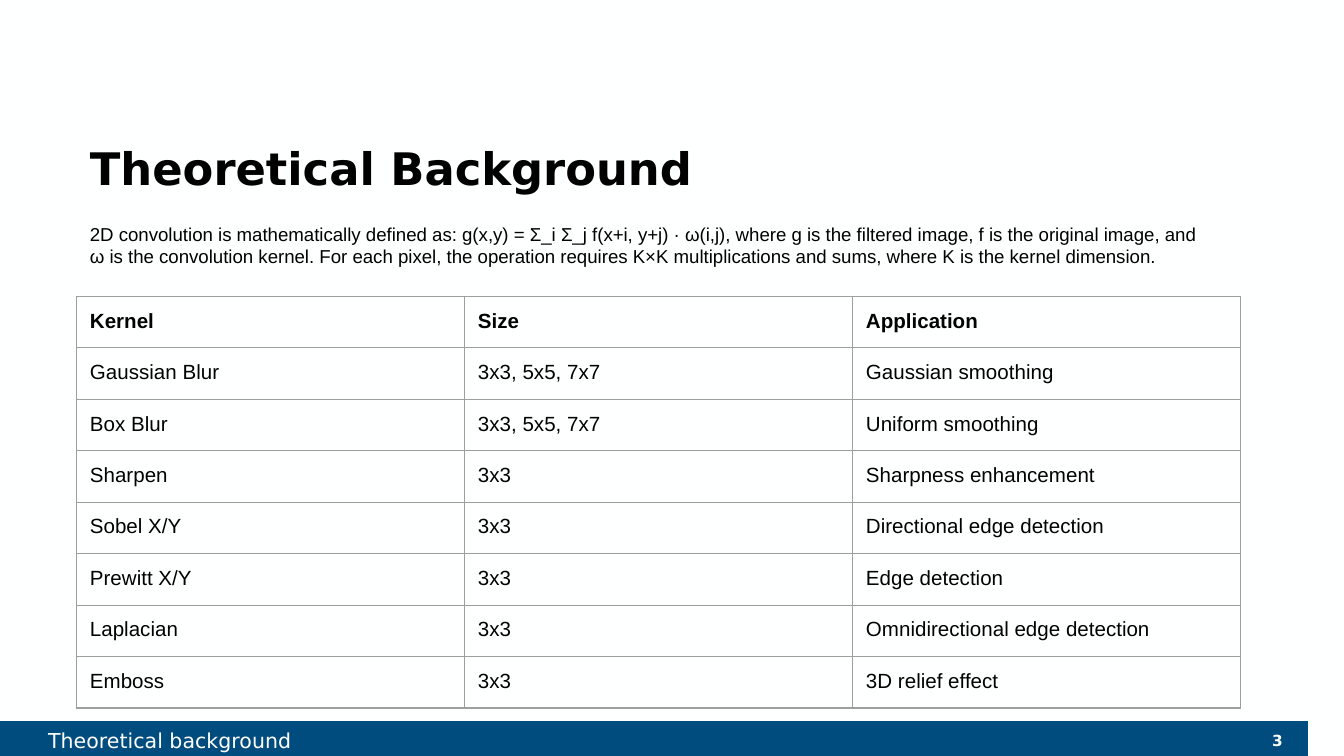
from lxml.etree import SubElement
from pptx import Presentation
from pptx.dml.color import RGBColor as Rgb
from pptx.enum.shapes import MSO_SHAPE as Shape
from pptx.enum.text import MSO_ANCHOR as Anchor, MSO_AUTO_SIZE as AutoSize, PP_ALIGN as Align
from pptx.oxml.ns import qn
from pptx.util import Cm, Pt

COLORS = {"page": "FEFFFF", "band": "004C7E", "white": "FFFFFF", "ink": "000000", "rule": "9E9E9E"}
DISPLAY, TEXT = "DejaVu Sans", "Arial"
FORMATS = {
    "title": {"name": DISPLAY, "size": Pt(24), "bold": True, "color": "ink"},
    "definition": {"name": TEXT, "size": Pt(10), "bold": False, "color": "ink"},
    "header": {"name": TEXT, "size": Pt(11), "bold": True, "color": "ink"},
    "cell": {"name": TEXT, "size": Pt(11), "bold": False, "color": "ink"},
    "section": {"name": DISPLAY, "size": Pt(11), "bold": False, "color": "white"},
    "number": {"name": DISPLAY, "size": Pt(8.2), "bold": True, "color": "page"},
}
DEFINITION = (
    "2D convolution is mathematically defined as: g(x,y) = Σ_i Σ_j f(x+i, y+j) · ω(i,j), "
    "where g is the filtered image, f is the original image, and ω is the convolution kernel. "
    "For each pixel, the operation requires K×K multiplications and sums, "
    "where K is the kernel dimension."
)
KERNELS = [
    ("Kernel", "Size", "Application"),
    ("Gaussian Blur", "3x3, 5x5, 7x7", "Gaussian smoothing"),
    ("Box Blur", "3x3, 5x5, 7x7", "Uniform smoothing"),
    ("Sharpen", "3x3", "Sharpness enhancement"),
    ("Sobel X/Y", "3x3", "Directional edge detection"),
    ("Prewitt X/Y", "3x3", "Edge detection"),
    ("Laplacian", "3x3", "Omnidirectional edge detection"),
    ("Emboss", "3x3", "3D relief effect"),
]


class SlideBuilder:
    """Holds the style and the current slide, and adds its elements."""

    def __init__(self, slide):
        self.slide = slide
        self.paint(slide.background.fill, "page")

    def paint(self, fill, color):
        fill.solid()
        fill.fore_color.rgb = Rgb.from_string(COLORS[color])

    def style(self, font, style):
        for attribute, value in FORMATS[style].items():
            if attribute == "color":
                font.color.rgb = Rgb.from_string(COLORS[value])
            else:
                setattr(font, attribute, value)

    def fill_frame(self, frame, text, style, align=Align.LEFT, spacing=1.0, inset=0.13):
        frame.word_wrap = True
        margins = {"margin_left": 0.25, "margin_right": 0.25, "margin_top": inset, "margin_bottom": inset}
        for side, length in margins.items():
            setattr(frame, side, Cm(length))
        paragraph = frame.paragraphs[0]
        paragraph.alignment, paragraph.line_spacing = align, spacing
        run = paragraph.add_run()
        run.text = text
        self.style(run.font, style)

    def title(self, text, left, top, width, height):
        heading = self.slide.shapes.title
        heading.left, heading.top, heading.width, heading.height = map(Cm, (left, top, width, height))
        heading.text_frame.auto_size = AutoSize.NONE
        heading.text_frame.vertical_anchor = Anchor.MIDDLE
        self.fill_frame(heading.text_frame, text, "title", spacing=1.2)

    def text(self, text, style, left, top, width, height, **layout):
        box = self.slide.shapes.add_textbox(*map(Cm, (left, top, width, height)))
        self.fill_frame(box.text_frame, text, style, **layout)

    def band(self, left, top, width, height):
        strip = self.slide.shapes.add_shape(Shape.RECTANGLE, *map(Cm, (left, top, width, height)))
        strip.shadow.inherit = False
        self.paint(strip.fill, "band")
        strip.line.fill.background()

    def border(self, cell):
        properties = cell._tc.get_or_add_tcPr()
        for position, edge in enumerate(("a:lnL", "a:lnR", "a:lnT", "a:lnB")):
            line = SubElement(properties, qn(edge), w=str(Pt(0.75)))
            SubElement(SubElement(line, qn("a:solidFill")), qn("a:srgbClr"), val=COLORS["rule"])
            properties.insert(position, line)

    def table(self, rows, left, top, width, height):
        grid = self.slide.shapes.add_table(
            len(rows), len(rows[0]), *map(Cm, (left, top, width, height))
        ).table
        grid.first_row = grid.horz_banding = False
        for row, values in enumerate(rows):
            for column, value in enumerate(values):
                cell = grid.cell(row, column)
                cell.fill.background()
                self.border(cell)
                cell.margin_left = cell.margin_right = Cm(0.25)
                cell.margin_top = cell.margin_bottom = Cm(0.25)
                run = cell.text_frame.paragraphs[0].add_run()
                run.text = value
                self.style(run.font, "cell" if row else "header")


def main():
    deck = Presentation()
    deck.slide_width, deck.slide_height = Cm(25.4), Cm(14.29)
    builder = SlideBuilder(deck.slides.add_slide(deck.slide_layouts[5]))
    builder.band(0, 13.63, 24.72, 0.66)
    builder.text("3", "number", 21.67, 13.69, 2.82, 0.46, align=Align.RIGHT)
    builder.text("Theoretical background", "section", 0.66, 13.69, 21.08, 0.53, spacing=0.9)
    builder.title("Theoretical Background", 1.45, 2.18, 22.5, 1.78)
    builder.text(DEFINITION, "definition", 1.45, 3.96, 21.74, 1.96, inset=0.25)
    builder.table(KERNELS, 1.45, 5.6, 22, 7.79)
    deck.save("out.pptx")


if __name__ == "__main__":
    main()
